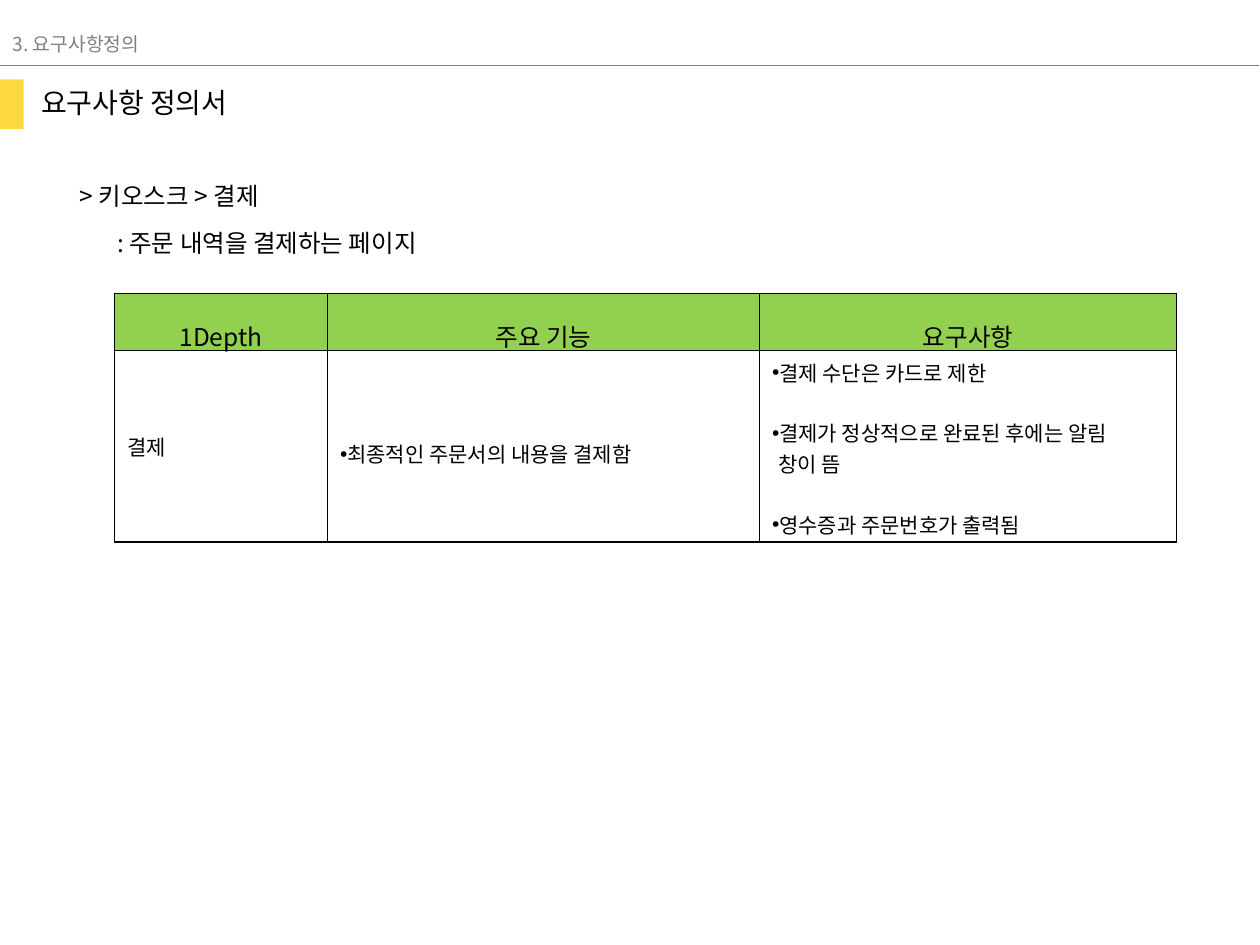
from lxml import etree
from pptx import Presentation
from pptx.dml.color import RGBColor
from pptx.enum.shapes import MSO_CONNECTOR, MSO_SHAPE
from pptx.enum.text import MSO_ANCHOR, MSO_AUTO_SIZE, PP_ALIGN
from pptx.oxml.ns import qn
from pptx.util import Cm, Pt

FONT = "Noto Sans CJK KR"
BLACK = RGBColor(0x00, 0x00, 0x00)
GRAY = RGBColor(0x80, 0x80, 0x80)
YELLOW = RGBColor(0xFD, 0xD9, 0x41)
GREEN = RGBColor(0x92, 0xD0, 0x50)

COLUMN_WIDTHS = (4.29, 8.71, 8.41)
ROW_HEIGHTS = (1.04, 3.86)
HEADERS = ("1Depth", "주요 기능", "요구사항")
REQUIREMENTS = ("결제 수단은 카드로 제한",
                "결제가 정상적으로 완료된 후에는 알림",
                "영수증과 주문번호가 출력됨")
CONTINUATIONS = {REQUIREMENTS[1]: "창이 뜸"}
ITEM_GAP = Pt(17.4)


def write(paragraph, text, size, color=BLACK):
    """Add a run of text in the slide's font."""
    run = paragraph.add_run()
    run.text = text
    font = run.font
    font.name, font.size, font.bold = FONT, Pt(size), False
    font.color.rgb = color
    etree.SubElement(font._element, qn("a:ea"), typeface=FONT)


def set_indent(paragraph, left=0, bullet=None):
    """Set the left margin of a paragraph and its bullet, if any."""
    properties = paragraph._p.get_or_add_pPr()
    properties.set("marL", str(Cm(left)))
    properties.set("indent", "0")
    if bullet:
        etree.SubElement(properties, qn("a:buFont"), typeface="Arial")
        etree.SubElement(properties, qn("a:buChar"), char=bullet)


def add_label(slide, text, left, top, width, height, size, color=BLACK):
    """Add a one-line text box."""
    box = slide.shapes.add_textbox(Cm(left), Cm(top), Cm(width), Cm(height))
    box.text_frame.word_wrap = True
    write(box.text_frame.paragraphs[0], text, size, color)


def add_title(slide, text):
    """Place and format the slide title."""
    title = slide.shapes.title
    title.left, title.top, title.width, title.height = Cm(0.58), Cm(1.6), Cm(5.18), Cm(0.94)
    frame = title.text_frame
    frame.auto_size = MSO_AUTO_SIZE.NONE
    frame.vertical_anchor = MSO_ANCHOR.TOP
    paragraph = frame.paragraphs[0]
    paragraph.alignment = PP_ALIGN.LEFT
    write(paragraph, text, 16)


def add_accent(slide):
    """Add the yellow block beside the title."""
    block = slide.shapes.add_shape(MSO_SHAPE.RECTANGLE, Cm(-0.03), Cm(1.6), Cm(0.51), Cm(1))
    block.shadow.inherit = False
    block.fill.solid()
    block.fill.fore_color.rgb = YELLOW
    block.line.fill.background()


def add_rule(slide):
    """Add the line under the section name."""
    rule = slide.shapes.add_connector(MSO_CONNECTOR.STRAIGHT, 0, Cm(1.32), Cm(25.38), Cm(1.32))
    rule.line.color.rgb = GRAY
    rule.line.width = Pt(1)
    etree.SubElement(rule._element.spPr, qn("a:effectLst"))


def style_cell(cell, fill=None):
    """Give a cell black borders, middle anchoring and a fill."""
    cell.vertical_anchor = MSO_ANCHOR.MIDDLE
    properties = cell._tc.get_or_add_tcPr()
    for side in ("lnL", "lnR", "lnT", "lnB"):
        border = etree.SubElement(properties, qn(f"a:{side}"), w=str(Pt(1)))
        solid = etree.SubElement(border, qn("a:solidFill"))
        etree.SubElement(solid, qn("a:srgbClr"), val=str(BLACK))
    if fill is None:
        cell.fill.background()
    else:
        cell.fill.solid()
        cell.fill.fore_color.rgb = fill


def write_requirements(frame):
    """List the requirements, with wrapped lines under their item."""
    for index, item in enumerate(REQUIREMENTS):
        paragraph = frame.add_paragraph() if index else frame.paragraphs[0]
        if index:
            paragraph.space_before = ITEM_GAP
        set_indent(paragraph, bullet="•")
        write(paragraph, item, 12)
        if item in CONTINUATIONS:
            continuation = frame.add_paragraph()
            set_indent(continuation, left=0.13)
            write(continuation, CONTINUATIONS[item], 12)


def add_requirement_table(slide):
    """Add the table of functions and requirements."""
    frame = slide.shapes.add_table(2, 3, Cm(2.31), Cm(5.92), Cm(sum(COLUMN_WIDTHS)), Cm(5))
    table = frame.table
    table.first_row = table.horz_banding = False
    for column, width in zip(table.columns, COLUMN_WIDTHS):
        column.width = Cm(width)
    for row, height in zip(table.rows, ROW_HEIGHTS):
        row.height = Cm(height)
    frame.height = Cm(5)

    for index, header in enumerate(HEADERS):
        cell = table.cell(0, index)
        style_cell(cell, GREEN)
        style_cell(table.cell(1, index))
        paragraph = cell.text_frame.paragraphs[0]
        paragraph.alignment = PP_ALIGN.CENTER
        paragraph.line_spacing = 1.5
        write(paragraph, header, 14)

    depth, feature, requirements = (table.cell(1, i).text_frame for i in range(3))
    write(depth.paragraphs[0], "결제", 12)
    paragraph = feature.paragraphs[0]
    paragraph.line_spacing = 1.5
    set_indent(paragraph, bullet="•")
    write(paragraph, "최종적인 주문서의 내용을 결제함", 12)
    write_requirements(requirements)


def main():
    """Build the requirements slide."""
    deck = Presentation()
    deck.slide_width, deck.slide_height = Cm(25.4), Cm(19.05)
    slide = deck.slides.add_slide(deck.slide_layouts[5])
    add_title(slide, "요구사항 정의서")
    add_accent(slide)
    add_rule(slide)
    add_label(slide, ": 주문 내역을 결제하는 페이지", 2.11, 4.47, 7.39, 0.86, 14)
    add_requirement_table(slide)
    add_label(slide, "> 키오스크 > 결제", 1.35, 3.53, 5.99, 0.86, 14)
    add_label(slide, "3. 요구사항정의", 0, 0.53, 4.09, 0.74, 11, GRAY)
    deck.save("out.pptx")


main()
